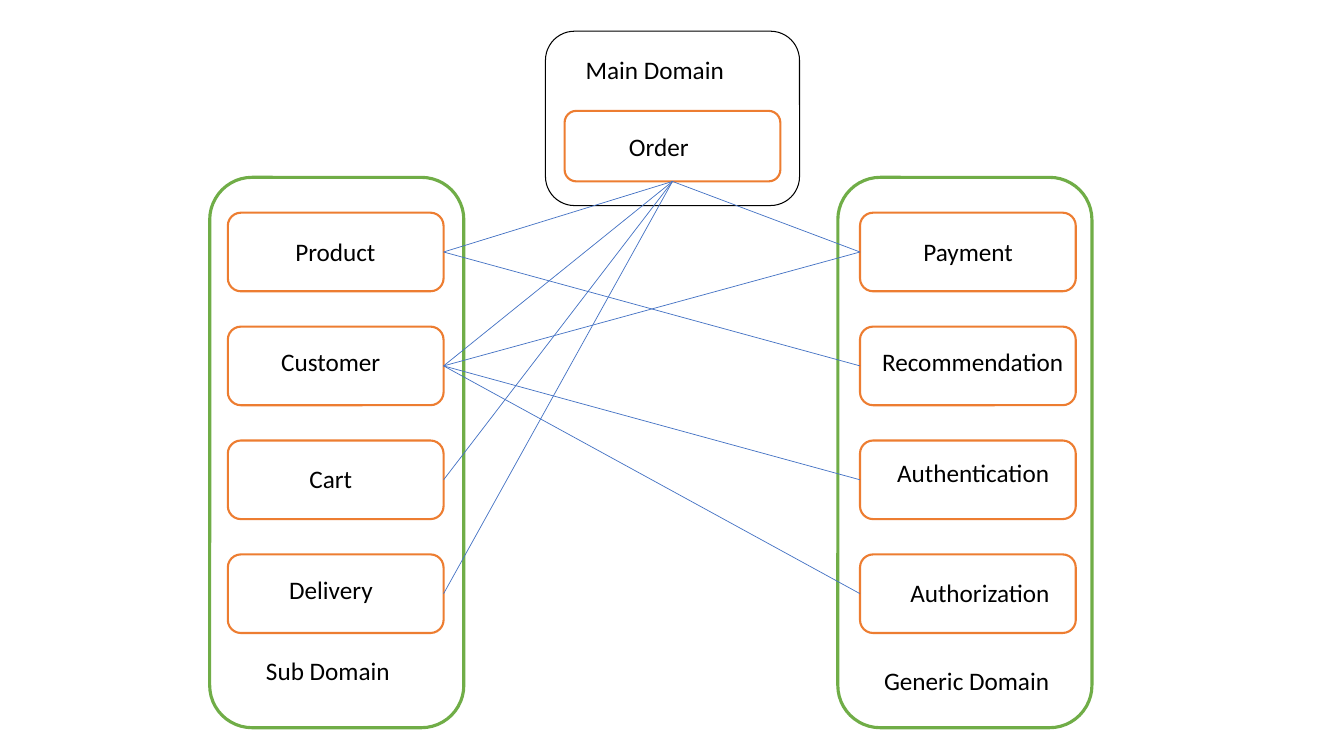
from lxml import etree
from pptx import Presentation
from pptx.dml.color import RGBColor
from pptx.enum.shapes import MSO_CONNECTOR, MSO_SHAPE
from pptx.enum.text import MSO_AUTO_SIZE
from pptx.oxml.ns import qn
from pptx.util import Inches, Pt

ROUNDED = MSO_SHAPE.ROUNDED_RECTANGLE
STRAIGHT = MSO_CONNECTOR.STRAIGHT
GROW = MSO_AUTO_SIZE.SHAPE_TO_FIT_TEXT
BLACK = RGBColor(0x00, 0x00, 0x00)
ORANGE = RGBColor(0xED, 0x7D, 0x31)
GREEN = RGBColor(0x70, 0xAD, 0x47)
BLUE = RGBColor(0x44, 0x72, 0xC4)
LABEL_FONT = {"name": "Calibri", "size": Pt(18)}
LEFT, BOTTOM, RIGHT = 1, 2, 3  # connection sites of a rounded rectangle

# Grid in inches: three columns of cards, four rows
SUB_COL, MAIN_COL, GENERIC_COL = 2.26, 5.6, 8.53
ROW_TOP, ROW_STEP = 2.11, 1.13
CARD_W, CARD_H = 2.14, 0.78
FRAME_W, FRAME_H = 2.52, 5.46
LABEL_H = 0.4

prs = Presentation()
prs.slide_width, prs.slide_height = Inches(13.33), Inches(7.5)
s = prs.slides.add_slide(prs.slide_layouts[6])


def add_box(x, y, w, h, color, weight):
    """Add an unfilled rounded rectangle and return it."""
    sp = s.shapes.add_shape(ROUNDED, Inches(x), Inches(y), Inches(w), Inches(h))
    sp.shadow.inherit = False
    sp.fill.background()
    sp.line.color.rgb = color
    sp.line.width = Pt(weight)
    return sp


def add_label(text, x, y, w):
    """Add a one-line label that starts at the left of its box."""
    tf = s.shapes.add_textbox(Inches(x), Inches(y), Inches(w), Inches(LABEL_H)).text_frame
    tf.word_wrap = False
    tf.auto_size = GROW
    r = tf.paragraphs[0].add_run()
    r.text = text
    r.font.color.rgb = BLACK
    for name, value in LABEL_FONT.items():
        setattr(r.font, name, value)


# Domain frames
for x, y, h, color, weight in [
    (2.08, 1.76, FRAME_H, GREEN, 2.25),
    (8.31, 1.76, FRAME_H, GREEN, 2.25),
    (5.41, 0.31, 1.73, BLACK, 0.75),
]:
    add_box(x, y, FRAME_W, h, color, weight)

# Service cards: name, then label offset from the card corner and label width
services = {
    SUB_COL: [
        ("Product", 0.57, 0.19, 1.01),
        ("Customer", 0.43, 0.15, 1.2),
        ("Cart", 0.71, 0.18, 0.63),
        ("Delivery", 0.51, 0.15, 1.04),
    ],
    GENERIC_COL: [
        ("Payment", 0.53, 0.19, 1.1),
        ("Recommendation", 0.12, 0.15, 2.02),
        ("Authentication", 0.27, 0.12, 1.73),
        ("Authorization", 0.4, 0.18, 1.6),
    ],
}
cards = {"Order": add_box(MAIN_COL, 1.1, CARD_W, 0.7, ORANGE, 1.5)}
add_label("Order", MAIN_COL + 0.54, 1.25, 0.8)
for col, column in services.items():
    for i, (name, dx, dy, w) in enumerate(column):
        y = ROW_TOP + i * ROW_STEP
        cards[name] = add_box(col, y, CARD_W, CARD_H, ORANGE, 1.5)
        add_label(name, col + dx, y + dy, w)

# Domain titles
for title, x, y, w in [
    ("Main Domain", 5.71, 0.49, 1.57),
    ("Sub Domain", 2.54, 6.45, 1.44),
    ("Generic Domain", 8.67, 6.55, 1.84),
]:
    add_label(title, x, y, w)

# Dependencies between services
for start, start_site, end, end_site in [
    ("Order", BOTTOM, "Product", RIGHT),
    ("Order", BOTTOM, "Customer", RIGHT),
    ("Order", BOTTOM, "Cart", RIGHT),
    ("Order", BOTTOM, "Delivery", RIGHT),
    ("Order", BOTTOM, "Payment", LEFT),
    ("Customer", RIGHT, "Payment", LEFT),
    ("Product", RIGHT, "Recommendation", LEFT),
    ("Customer", RIGHT, "Authentication", LEFT),
    ("Customer", RIGHT, "Authorization", LEFT),
]:
    link = s.shapes.add_connector(STRAIGHT, 0, 0, 0, 0)
    link.begin_connect(cards[start], start_site)
    link.end_connect(cards[end], end_site)
    link.line.color.rgb = BLUE
    link.line.width = Pt(0.5)
    etree.SubElement(link._element.spPr, qn("a:effectLst"))

prs.save("out.pptx")
